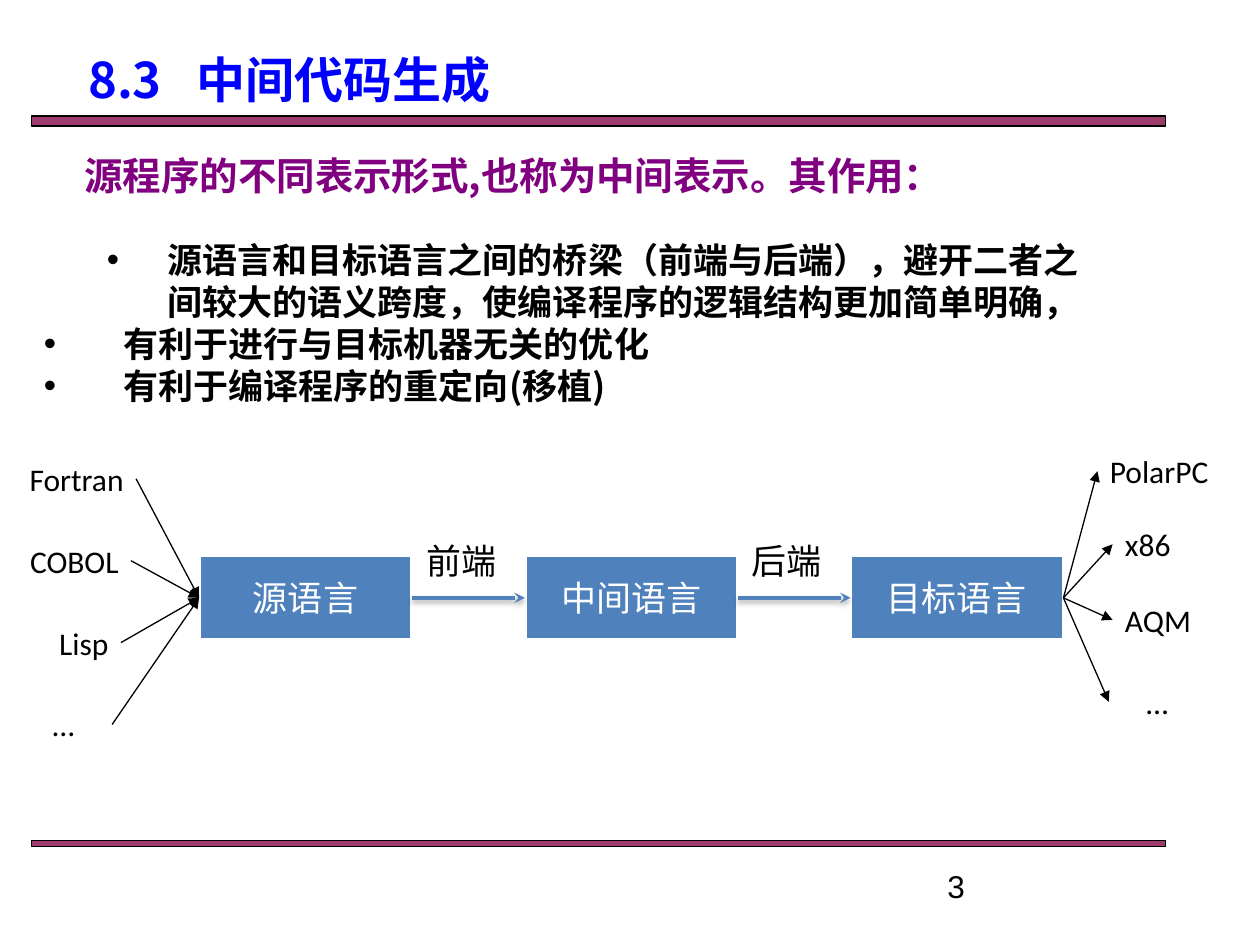
from lxml.etree import SubElement
from pptx import Presentation
from pptx.dml.color import RGBColor
from pptx.enum.shapes import MSO_CONNECTOR as Connector, MSO_SHAPE as Shape
from pptx.enum.text import MSO_ANCHOR as Anchor, MSO_AUTO_SIZE as AutoSize, PP_ALIGN as Align
from pptx.oxml.ns import qn
from pptx.util import Inches, Pt

COLORS = {
    "bar": "993366", "title": "0000FF", "heading": "800080",
    "stage": "4F81BD", "black": "000000", "white": "FFFFFF",
}
CJK = "Noto Sans CJK SC"
LATIN = "Calibri"
COLUMNS, ROWS = 10, 7.5
TOP, LEFT, BOTTOM, RIGHT = range(4)


def color(name):
    return RGBColor.from_string(COLORS[name])


def add_xml(parent, tag, **attributes):
    return SubElement(parent, qn(tag), {key: str(value) for key, value in attributes.items()})


class SlideBuilder:
    def __init__(self, presentation):
        self.column = presentation.slide_width / COLUMNS
        self.row = presentation.slide_height / ROWS
        self.slide = presentation.slides.add_slide(presentation.slide_layouts[5])
        self.shapes = self.slide.shapes

    def x(self, columns):
        return round(columns * self.column)

    def y(self, rows):
        return round(rows * self.row)

    def area(self, left, top, width, height):
        return self.x(left), self.y(top), self.x(width), self.y(height)

    def style(self, paragraph, size, ink="black", font=LATIN, bold=False, align=Align.LEFT):
        paragraph.alignment = align
        paragraph.space_before = Pt(0)
        if font == CJK:
            paragraph.line_spacing = Pt(size * 1.2)
        paragraph.font.size = Pt(size)
        paragraph.font.bold = bold
        paragraph.font.color.rgb = color(ink)
        paragraph.font.name = font
        add_xml(paragraph._p.pPr.find(qn("a:defRPr")), "a:ea", typeface=font)

    def title(self, words, area, tab):
        title = self.shapes.title
        title.left, title.top, title.width, title.height = self.area(*area)
        frame = title.text_frame
        frame.text = words
        frame.auto_size = AutoSize.NONE
        frame.vertical_anchor = Anchor.TOP
        frame.margin_left = Inches(0.2)
        paragraph = frame.paragraphs[0]
        tabs = add_xml(paragraph._p.get_or_add_pPr(), "a:tabLst")
        add_xml(tabs, "a:tab", pos=Inches(tab), algn="l")
        self.style(paragraph, 28, "title", CJK, True)

    def text(self, words, area, size=18, anchor=Anchor.TOP, inset=0.1, **style):
        frame = self.shapes.add_textbox(*self.area(*area)).text_frame
        frame.word_wrap = True
        frame.vertical_anchor = anchor
        frame.margin_left = Inches(inset)
        frame.text = words
        self.style(frame.paragraphs[0], size, **style)

    def bullets(self, items, area):
        frame = self.shapes.add_textbox(*self.area(*area)).text_frame
        frame.word_wrap = True
        for index, (words, margin, hanging) in enumerate(items):
            paragraph = frame.add_paragraph() if index else frame.paragraphs[0]
            paragraph.text = words
            properties = paragraph._p.get_or_add_pPr()
            properties.set("marL", str(Inches(margin)))
            properties.set("indent", str(-Inches(hanging)))
            add_xml(properties, "a:buFont", typeface="Arial")
            add_xml(properties, "a:buChar", char="•")
            self.style(paragraph, 20, font=CJK, bold=True)

    def rectangle(self, area, fill, line, line_width):
        shape = self.shapes.add_shape(Shape.RECTANGLE, *self.area(*area))
        shape.shadow.inherit = False
        shape.fill.solid()
        shape.fill.fore_color.rgb = color(fill)
        shape.line.color.rgb = color(line)
        shape.line.width = Pt(line_width)
        return shape

    def bar(self, top, height):
        shape = self.rectangle((0.25, top, 9, height), "bar", "black", 0.75)
        add_xml(shape._element.spPr.find(qn("a:solidFill"))[0], "a:alpha", val=96000)

    def stage(self, words, area):
        shape = self.rectangle(area, "stage", "white", 2)
        frame = shape.text_frame
        frame.word_wrap = False
        frame.vertical_anchor = Anchor.MIDDLE
        frame.text = words
        self.style(frame.paragraphs[0], 20, "white", CJK, align=Align.CENTER)
        return shape

    def arrow(self, start=(0, 0), end=(0, 0), source=None, target=None,
              ink="black", width=0.75, head="triangle", shadow=False):
        connector = self.shapes.add_connector(
            Connector.STRAIGHT, self.x(start[0]), self.y(start[1]), self.x(end[0]), self.y(end[1]))
        if source is not None:
            connector.begin_connect(source, RIGHT)
        if target is not None:
            connector.end_connect(target, LEFT)
        connector.line.color.rgb = color(ink)
        connector.line.width = Pt(width)
        add_xml(connector.line._get_or_add_ln(), "a:tailEnd", type=head)
        effects = add_xml(connector._element.spPr, "a:effectLst")
        if shadow:
            outer = add_xml(effects, "a:outerShdw", blurRad=Pt(3), dist=Pt(2),
                            dir=5400000, rotWithShape=0)
            shade = add_xml(outer, "a:srgbClr", val=COLORS["black"])
            add_xml(shade, "a:alpha", val=35000)


def main():
    presentation = Presentation()
    presentation.slide_width, presentation.slide_height = Inches(10), Inches(7.5)
    builder = SlideBuilder(presentation)

    builder.bar(0.92, 0.08)
    builder.bar(6.67, 0.05)
    builder.title("8.3\t中间代码生成", (0.5, 0.34, 7.8, 0.57), 0.86)
    builder.text("源程序的不同表示形式,也称为中间表示。其作用：", (0.5, 1.16, 8.58, 0.47),
                 22, inset=0.17, ink="heading", font=CJK, bold=True)
    builder.bullets([
        ("源语言和目标语言之间的桥梁（前端与后端），避开二者之间较大的语义跨度，使编译程序的逻辑结构更加简单明确，",
         0.98, 0.48),
        ("有利于进行与目标机器无关的优化", 0.63, 0.63),
        ("有利于编译程序的重定向(移植)", 0.63, 0.63),
    ], (0.25, 1.84, 8.58, 1.78))
    builder.text("3", (7.42, 6.83, 2.33, 0.27), font="Arial")

    stages = [builder.stage(words, (1.58 + 2.585 * index, 4.41, 1.69, 0.67))
              for index, words in enumerate(["源语言", "中间语言", "目标语言"])]
    for source, target in zip(stages, stages[1:]):
        builder.arrow(source=source, target=target, ink="stage", width=2,
                      head="stealth", shadow=True)
    for index, words in enumerate(["前端", "后端"]):
        builder.text(words, (2.95 + 2.58 * index, 4.16, 1.43, 0.58), 20, Anchor.MIDDLE,
                     font=CJK, align=Align.CENTER)

    label_height = 0.4
    languages = [("Fortran", 0.12, 0.96, Align.RIGHT), ("COBOL", 0.08, 0.96, Align.RIGHT),
                 ("Lisp", 0, 0.96, Align.RIGHT), ("…", 0.12, 0.77, Align.CENTER)]
    for index, (words, left, width, align) in enumerate(languages):
        top = 3.6 + 0.65 * index
        builder.text(words, (left, top, width, label_height), align=align)
        builder.arrow(start=(left + width, top + label_height / 2), target=stages[0])

    machines = [("PolarPC", 8.71, 3.54, 1.22, Align.LEFT), ("x86", 8.83, 4.12, 0.83, Align.LEFT),
                ("AQM", 8.83, 4.72, 0.82, Align.LEFT), ("…", 8.8, 5.37, 0.77, Align.CENTER)]
    for words, left, top, width, align in machines:
        builder.text(words, (left, top, width, label_height), align=align)
        builder.arrow(end=(left, top + label_height / 2), source=stages[-1])

    presentation.save("out.pptx")


if __name__ == "__main__":
    main()
